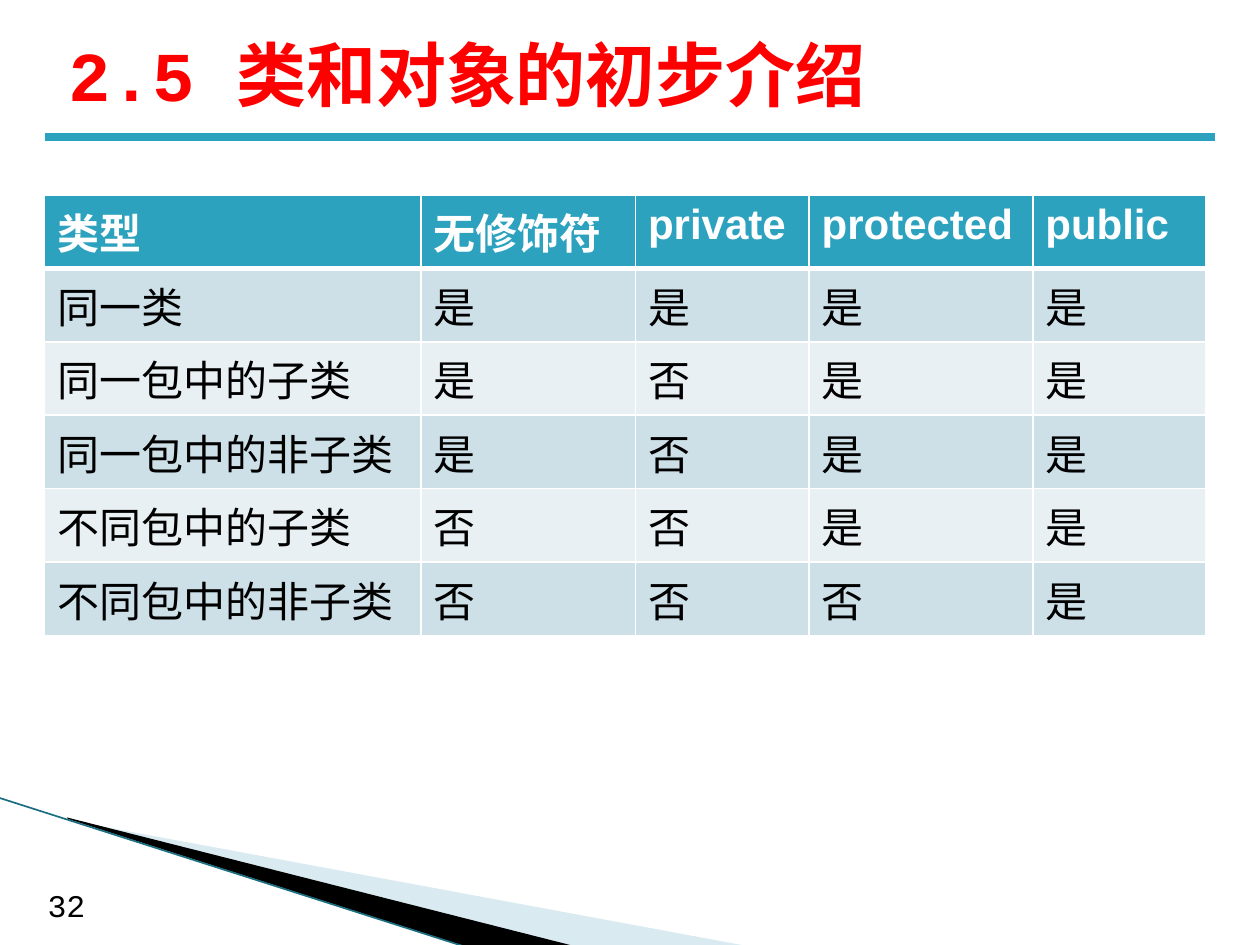
from lxml.etree import SubElement
from pptx import Presentation
from pptx.dml.color import RGBColor
from pptx.enum.shapes import MSO_CONNECTOR
from pptx.enum.text import MSO_ANCHOR, MSO_AUTO_SIZE
from pptx.oxml.ns import qn
from pptx.util import Cm, Pt

WHITE = RGBColor(0xFF, 0xFF, 0xFF)
BLACK = RGBColor(0x00, 0x00, 0x00)
RED = RGBColor(0xFF, 0x00, 0x00)
TEAL = RGBColor(0x2D, 0xA2, 0xBF)
PALE_TEAL = RGBColor(0xA0, 0xCB, 0xDC)
EDGE_TEAL = RGBColor(0x1B, 0x6E, 0x80)
BAND_DARK = RGBColor(0xCD, 0xE0, 0xE8)
BAND_LIGHT = RGBColor(0xE8, 0xF0, 0xF4)

TITLE_FORMAT = {"name": "Courier New", "size": Pt(40), "bold": True}
NUMBER_FORMAT = {"name": "Courier New", "size": Pt(18)}
HEADER_FORMAT = {"name": "Arial", "size": Pt(24), "bold": True}
BODY_FORMAT = {"name": "Arial", "size": Pt(24), "bold": False}

COLUMN_WIDTHS = [7.59, 4.32, 3.5, 4.51, 3.48]
ACCESS_ROWS = [
    ["类型", "无修饰符", "private", "protected", "public"],
    ["同一类", "是", "是", "是", "是"],
    ["同一包中的子类", "是", "否", "是", "是"],
    ["同一包中的非子类", "是", "否", "是", "是"],
    ["不同包中的子类", "否", "否", "是", "是"],
    ["不同包中的非子类", "否", "否", "否", "是"],
]


def format_font(font, values, color):
    """Apply a dict of font values and a colour."""
    for key, value in values.items():
        setattr(font, key, value)
    font.color.rgb = color


def add_text(slide, box, text, values, color, frame_values):
    """Place one line of text in a box given in centimetres."""
    frame = slide.shapes.add_textbox(*map(Cm, box)).text_frame
    for key, value in frame_values.items():
        setattr(frame, key, value)
    run = frame.paragraphs[0].add_run()
    run.text = text
    format_font(run.font, values, color)


def add_rule(slide, start, end, color, width):
    """Draw a straight line without a shadow."""
    rule = slide.shapes.add_connector(
        MSO_CONNECTOR.STRAIGHT, *map(Cm, (*start, *end)))
    rule.line.color.rgb = color
    rule.line.width = Pt(width)
    SubElement(rule.element.spPr, qn("a:effectLst"))


def add_wedge(slide, left, top, points, color, opacity=100):
    """Draw a filled outline from points relative to left and top."""
    corners = [(Cm(left + x), Cm(top + y)) for x, y in points]
    builder = slide.shapes.build_freeform(*corners[0], scale=1.0)
    builder.add_line_segments(corners[1:], close=True)
    wedge = builder.convert_to_shape()
    wedge.shadow.inherit = False
    wedge.fill.solid()
    wedge.fill.fore_color.rgb = color
    wedge.line.fill.background()
    if opacity < 100:
        tint = wedge.element.spPr.find(qn("a:solidFill"))[0]
        SubElement(tint, qn("a:alpha"), val=str(opacity * 1000))


def add_corner(slide, left, top):
    """Draw the slanted corner decoration and the slide number."""
    add_wedge(slide, left, top,
              [(1.43, 0.46), (15.14, 3), (11.61, 3), (1.43, 0.43)],
              PALE_TEAL, 40)
    add_wedge(slide, left, top,
              [(1.38, 0.4), (11.64, 3), (9.48, 3.02), (1.4, 0.43)], BLACK)
    add_rule(slide, (left, top), (left + 9.45, top + 3.02), EDGE_TEAL, 0.95)
    add_text(slide, (left + 0.74, top + 1.65, 2, 1.02), "32", NUMBER_FORMAT,
             BLACK, {"word_wrap": True,
                     "auto_size": MSO_AUTO_SIZE.SHAPE_TO_FIT_TEXT})


def add_heading(slide, left, top, width):
    """Place the title and the rule below it."""
    add_text(slide, (left + 0.23, top, width - 0.76, 2.16),
             "2.5 类和对象的初步介绍", TITLE_FORMAT, RED,
             {"word_wrap": True, "vertical_anchor": MSO_ANCHOR.MIDDLE})
    add_rule(slide, (left, top + 2.36), (left + width, top + 2.36), TEAL, 4.5)


def add_borders(cell, widths):
    """Give a cell white borders from a dict of side to points."""
    properties = cell._tc.get_or_add_tcPr()
    for side, width in widths.items():
        line = SubElement(properties, qn(f"a:ln{side}"), w=str(Pt(width)))
        fill = SubElement(line, qn("a:solidFill"))
        SubElement(fill, qn("a:srgbClr"), val=str(WHITE))


def add_access_table(slide, left, top, row_height):
    """Place the table of access modifiers."""
    table = slide.shapes.add_table(
        len(ACCESS_ROWS), len(COLUMN_WIDTHS), Cm(left), Cm(top),
        Cm(sum(COLUMN_WIDTHS)), Cm(row_height * len(ACCESS_ROWS))).table
    for column, width in zip(table.columns, COLUMN_WIDTHS):
        column.width = Cm(width)
    for index, labels in enumerate(ACCESS_ROWS):
        header = index == 0
        band = TEAL if header else BAND_DARK if index % 2 else BAND_LIGHT
        sides = {"L": 1, "R": 1, "T": 3 if index == 1 else 1,
                 "B": 3 if header else 1}
        table.rows[index].height = Cm(row_height)
        for cell, label in zip(table.rows[index].cells, labels):
            add_borders(cell, sides)
            cell.fill.solid()
            cell.fill.fore_color.rgb = band
            run = cell.text_frame.paragraphs[0].add_run()
            run.text = label
            format_font(run.font, HEADER_FORMAT if header else BODY_FORMAT,
                        WHITE if header else BLACK)


def main():
    """Build and save the slide."""
    deck = Presentation()
    deck.slide_width, deck.slide_height = Cm(25.4), Cm(19.05)
    slide = deck.slides.add_slide(deck.slide_layouts[6])
    add_corner(slide, -0.03, 16.08)
    add_heading(slide, 0.9, 0.41, 23.6)
    add_access_table(slide, 0.9, 3.93, 1.48)
    deck.save("out.pptx")


if __name__ == "__main__":
    main()
